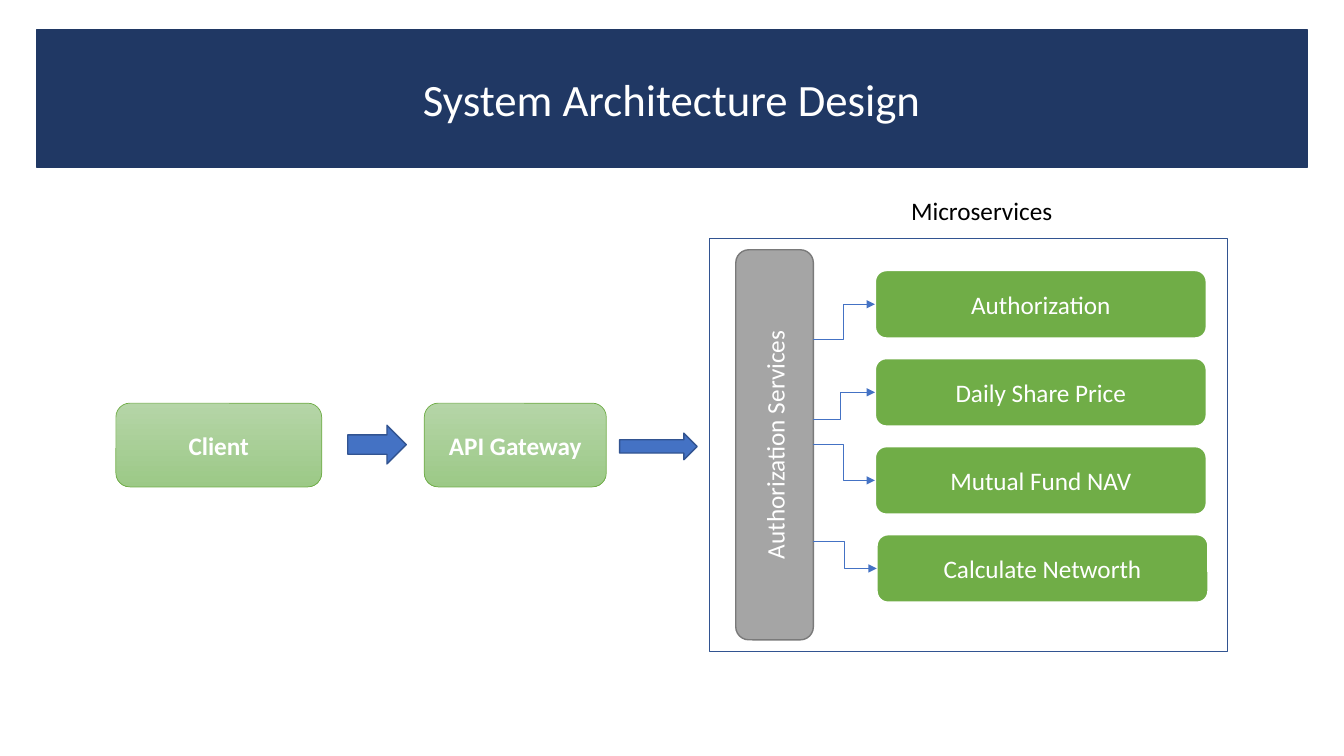
from dataclasses import dataclass
from typing import Optional

from lxml.etree import SubElement
from pptx import Presentation
from pptx.dml.color import RGBColor
from pptx.enum.shapes import MSO_CONNECTOR, MSO_SHAPE
from pptx.enum.text import MSO_ANCHOR, PP_ALIGN
from pptx.oxml.ns import qn
from pptx.util import Pt

NAVY = RGBColor(0x20, 0x38, 0x64)
BLUE = RGBColor(0x44, 0x72, 0xC4)
EDGE = RGBColor(0x32, 0x54, 0x91)
GREEN = RGBColor(0x70, 0xAD, 0x47)
PALE = RGBColor(0xB5, 0xD5, 0xA7)
SAGE = RGBColor(0x9C, 0xC9, 0x87)
GRAY = RGBColor(0xA5, 0xA5, 0xA5)
DARK = RGBColor(0x7A, 0x7A, 0x7A)
WHITE = RGBColor(0xFF, 0xFF, 0xFF)
BLACK = RGBColor(0, 0, 0)
FONT = "Calibri"
RECT, ROUND, ARROW = MSO_SHAPE.RECTANGLE, MSO_SHAPE.ROUNDED_RECTANGLE, MSO_SHAPE.RIGHT_ARROW


@dataclass
class Box:
    left: float
    top: float
    width: float
    height: float
    kind: MSO_SHAPE
    fill: RGBColor
    edge: RGBColor
    line: float = 1
    text: str = ""
    size: float = 18
    bold: bool = False
    turn: float = 0
    fade: Optional[RGBColor] = None


@dataclass
class Link:
    left: float
    start: float
    right: float
    end: float
    bend: float = 0.5


def write(shape, text: str, size: float, color: RGBColor, bold: bool = False) -> None:
    frame = shape.text_frame
    frame.word_wrap = True
    frame.text = text
    para = frame.paragraphs[0]
    para.alignment = PP_ALIGN.CENTER
    for run in para.runs:
        run.font.name = FONT
        run.font.size = Pt(size)
        run.font.bold = bold
        run.font.color.rgb = color


def draw_box(slide, box: Box) -> None:
    shape = slide.shapes.add_shape(
        box.kind, Pt(box.left), Pt(box.top), Pt(box.width), Pt(box.height))
    shape.shadow.inherit = False
    shape.rotation = box.turn
    if box.fade is None:
        shape.fill.solid()
        shape.fill.fore_color.rgb = box.fill
    else:
        shape.fill.gradient()
        shape.fill.gradient_angle = 270
        for stop, color in zip(shape.fill.gradient_stops, (box.fill, box.fade)):
            stop.color.rgb = color
    shape.line.color.rgb = box.edge
    shape.line.width = Pt(box.line)
    if box.text:
        shape.text_frame.vertical_anchor = MSO_ANCHOR.MIDDLE
        write(shape, box.text, box.size, WHITE, box.bold)


def draw_link(slide, link: Link) -> None:
    line = slide.shapes.add_connector(
        MSO_CONNECTOR.ELBOW, Pt(link.left), Pt(link.start), Pt(link.right), Pt(link.end))
    line.line.color.rgb = BLUE
    line.line.width = Pt(0.5)
    props = line._element.spPr
    SubElement(props.find(qn("a:ln")), qn("a:tailEnd"), type="triangle")
    SubElement(props, qn("a:effectLst"))
    guides = props.find(qn("a:prstGeom")).get_or_add_avLst()
    SubElement(guides, qn("a:gd"), name="adj1", fmla=f"val {round(link.bend * 100000)}")


def draw_label(slide) -> None:
    label = slide.shapes.add_textbox(Pt(563), Pt(136), Pt(276.5), Pt(29))
    write(label, "Microservices", 18, BLACK)


def step(left: float, width: float, text: str) -> Box:
    return Box(left, 288, width, 59.8, ROUND, PALE, GREEN, 0.5, text, bold=True, fade=SAGE)


def main() -> None:
    deck = Presentation()
    deck.slide_width, deck.slide_height = Pt(960), Pt(540)
    slide = deck.slides.add_slide(deck.slide_layouts[6])

    boxes = [
        Box(25.9, 21.4, 908, 98, RECT, NAVY, NAVY, text="System Architecture Design", size=32),
        step(82.8, 147, "Client"),
        Box(248.4, 303.8, 41.8, 27.6, ARROW, BLUE, EDGE),
        step(303.1, 130, "API Gateway"),
        Box(442.6, 309.4, 55.4, 19, ARROW, BLUE, EDGE),
        Box(506.9, 170.5, 370, 295, RECT, WHITE, EDGE),
        Box(414, 290, 278.6, 55.4, ROUND, GRAY, DARK, text="Authorization Services", turn=270),
    ]
    names = ["Authorization", "Daily Share Price", "Mutual Fund NAV", "Calculate Networth"]
    lefts = [625, 625, 625, 626.2]
    starts = [242.4, 299.5, 317.4, 387]
    bends = [0.5, 0.45, 0.5, 0.5]
    links = []
    for row, (name, left, start, bend) in enumerate(zip(names, lefts, starts, bends)):
        top = 193 + row * 62.9
        boxes.append(Box(left, top, 236.9, 48.7, ROUND, GREEN, WHITE, 1.5, name))
        links.append(Link(580.6, start, left, top + 24.35, bend))

    for box in boxes:
        draw_box(slide, box)
    draw_label(slide)
    for link in links:
        draw_link(slide, link)
    deck.save("out.pptx")


if __name__ == "__main__":
    main()
